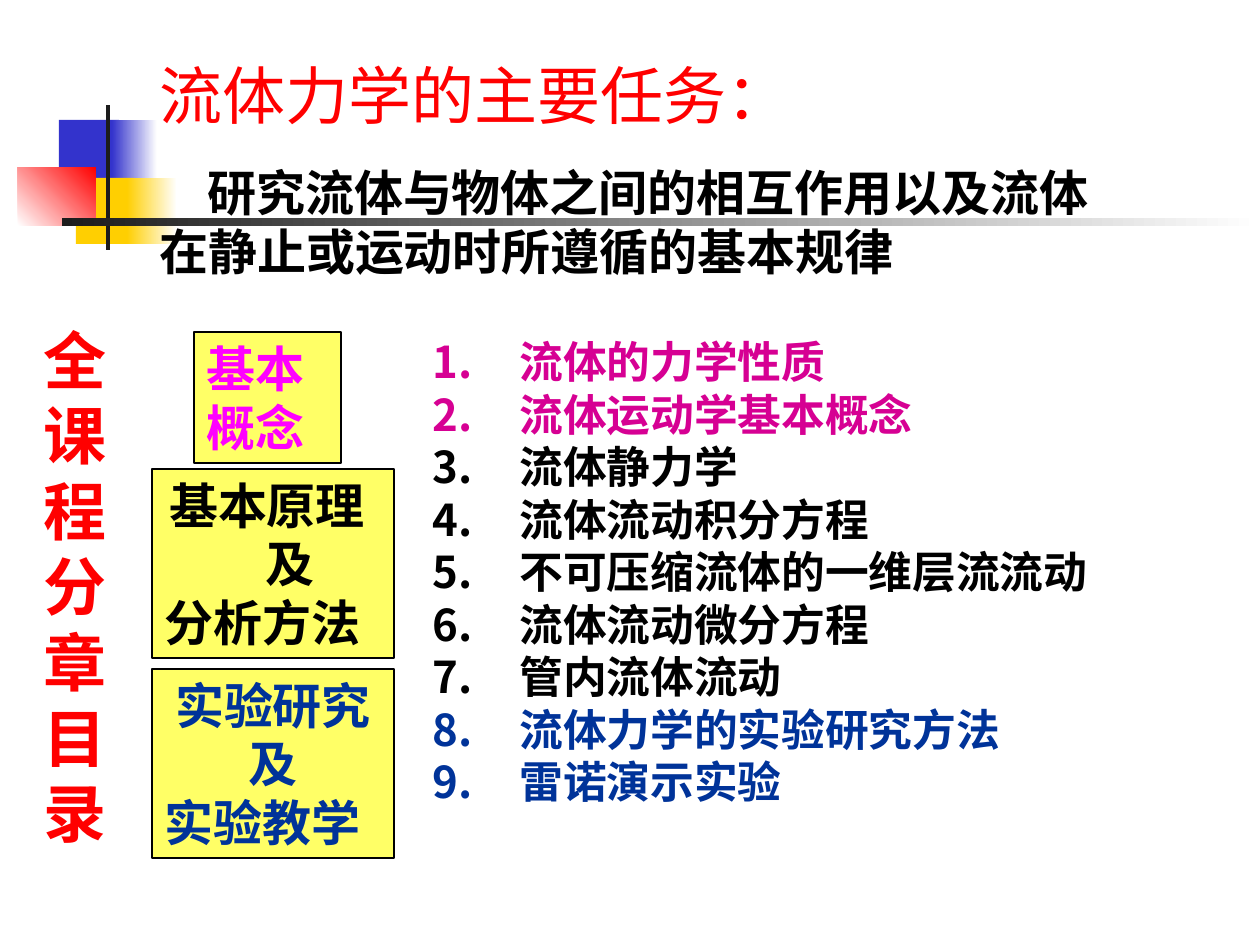
import pptx
import pptx.util
import pptx.dml.color
import pptx.enum.text
import pptx.enum.shapes
import pptx.oxml.ns
import lxml.etree
from dataclasses import dataclass

SCALE = 914400 / 126


@dataclass(frozen=True)
class Theme:
    blue: str = "3333CC"
    gold: str = "FFCF01"
    red: str = "FF0000"
    white: str = "FFFFFF"
    dark: str = "1C1C1C"
    black: str = "000000"
    box: str = "FFFF66"
    pink: str = "FF00FF"
    plum: str = "D60093"
    navy: str = "003399"
    head: int = 36
    body: int = 28
    item: int = 25
    font: str = "Arial"
    alt: str = "Roboto"


THEME = Theme()


def px(num):
    return pptx.util.Emu(round(num * SCALE))


def rgb(hue):
    return pptx.dml.color.RGBColor.from_string(hue)


def add_text(frame, text, size=THEME.body, color=THEME.black, bold=True,
             font=THEME.font, center=False, before=None, left=0, right=0, first=0):
    para = frame.paragraphs[0]
    if para.runs:
        para = frame.add_paragraph()
    align = pptx.enum.text.PP_ALIGN
    para.alignment = align.CENTER if center else align.LEFT
    if before is not None:
        para.space_before = pptx.util.Pt(before)
    props = para._p.get_or_add_pPr()
    for key, val in (("marL", left), ("marR", right), ("indent", first)):
        props.set(key, str(px(val)))
    run = para.add_run()
    run.text = text
    run.font.size = pptx.util.Pt(size)
    run.font.bold = bold
    run.font.name = font
    run.font.color.rgb = rgb(color)
    return para


def add_number(para, color):
    props = para._p.get_or_add_pPr()
    qn = pptx.oxml.ns.qn
    tint = lxml.etree.SubElement(props, qn("a:buClr"))
    lxml.etree.SubElement(tint, qn("a:srgbClr")).set("val", color)
    mark = lxml.etree.SubElement(props, qn("a:buAutoNum"))
    mark.set("type", "arabicPeriod")


def set_frame(shape):
    frame = shape.text_frame
    frame.word_wrap = True
    frame.auto_size = pptx.enum.text.MSO_AUTO_SIZE.SHAPE_TO_FIT_TEXT
    frame.vertical_anchor = pptx.enum.text.MSO_ANCHOR.TOP
    return frame


def add_frame(slide, area):
    return set_frame(slide.shapes.add_textbox(*map(px, area)))


def add_rect(slide, area, fill, fade=None, angle=0, line=None):
    kind = pptx.enum.shapes.MSO_SHAPE.RECTANGLE
    shape = slide.shapes.add_shape(kind, *map(px, area))
    shape.shadow.inherit = False
    if fade:
        shape.fill.gradient()
        shape.fill.gradient_angle = angle
        for stop, hue in zip(shape.fill.gradient_stops, (fill, fade)):
            stop.color.rgb = rgb(hue)
    else:
        shape.fill.solid()
        shape.fill.fore_color.rgb = rgb(fill)
    if line:
        shape.line.color.rgb = rgb(line)
        shape.line.width = pptx.util.Pt(0.75)
    else:
        shape.line.fill.background()
    return shape


def add_box(slide, area, color, lines):
    frame = set_frame(add_rect(slide, area, THEME.box, line=THEME.black))
    for text, form in lines:
        add_text(frame, text, color=color, **form)


def add_decor(slide):
    add_rect(slide, (59, 120, 60, 66), THEME.blue)
    add_rect(slide, (112, 120, 45, 66), THEME.blue, THEME.white)
    add_rect(slide, (76, 178, 58, 66), THEME.gold)
    add_rect(slide, (127, 178, 50, 66), THEME.gold, THEME.white)
    add_rect(slide, (18, 167, 78, 59), THEME.white, THEME.red, angle=45)
    add_rect(slide, (106, 105, 4, 145), THEME.dark)
    add_rect(slide, (62, 218, 1198, 8), THEME.dark, THEME.white)


def add_list(slide):
    groups = (
        (THEME.plum, ("流体的力学性质", "流体运动学基本概念")),
        (THEME.black, ("流体静力学", "流体流动积分方程", "不可压缩流体的一维层流流动",
                       "流体流动微分方程", "管内流体流动")),
        (THEME.navy, ("流体力学的实验研究方法", "雷诺演示实验")),
    )
    frame = add_frame(slide, (420, 329, 735, 485))
    for color, items in groups:
        for item in items:
            para = add_text(frame, item, size=THEME.item, color=color, left=87, first=-87)
            add_number(para, color)


def main():
    deck = pptx.Presentation()
    deck.slide_width, deck.slide_height = px(1260), px(945)
    slide = deck.slides.add_slide(deck.slide_layouts[6])
    add_decor(slide)

    side = add_frame(slide, (31, 315, 100, 542))
    for text in ("全课", "程", "分章目", "录"):
        add_text(side, text, size=THEME.head, color=THEME.red)

    add_list(slide)
    mid = {"center": True}
    add_box(slide, (194, 332, 147, 131), THEME.pink, [("基本概念", {})])
    add_box(slide, (152, 469, 242, 189), THEME.black,
            [("基本原理", {"center": True, "right": 12}),
             ("及", {"center": True, "left": 34}), ("分析方法", {})])
    add_box(slide, (152, 669, 242, 189), THEME.navy,
            [("实验研究及", mid), ("实验教学", {})])

    top = add_frame(slide, (147, 50, 998, 237))
    add_text(top, "流体力学的主要任务：", size=THEME.head, color=THEME.red,
             bold=False, font=THEME.alt, before=22.5)
    add_text(top, "研究流体与物体之间的相互作用以及流体在静止或运动时所遵循的基本规律",
             font=THEME.alt, before=17.5, first=48)
    deck.save("out.pptx")


if __name__ == "__main__":
    main()
